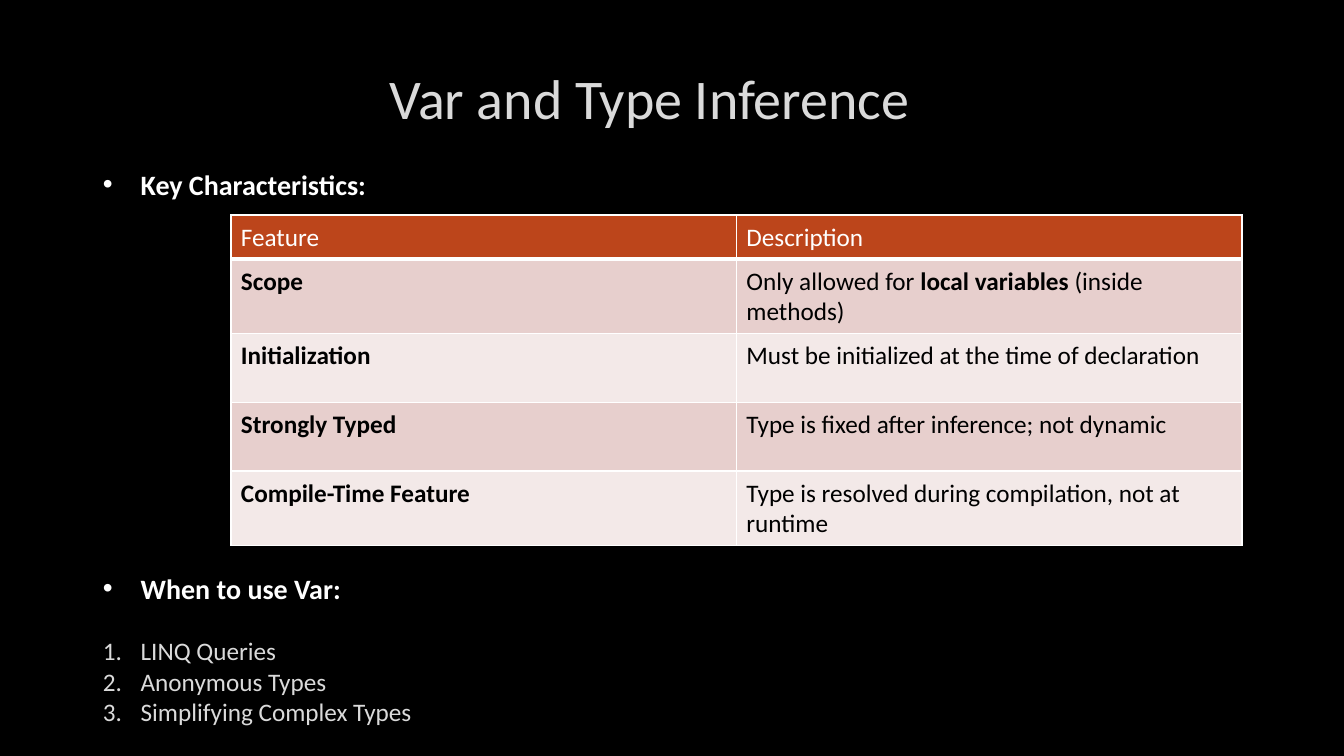
import pptx
import pptx.dml.color
import pptx.enum.text
import pptx.oxml
import pptx.oxml.ns
import pptx.util
from pptx.util import Cm

DRAWING = pptx.oxml.ns.nsdecls("a")
BULLET = f'<a:buChar {DRAWING} char="•"/>'
NUMBER = f'<a:buAutoNum {DRAWING} type="arabicPeriod"/>'

FEATURES = [
    ("Feature", "Description"),
    ("**Scope**", "Only allowed for **local variables** (inside methods)"),
    ("**Initialization**", "Must be initialized at the time of declaration"),
    ("**Strongly Typed**", "Type is fixed after inference; not dynamic"),
    ("**Compile-Time Feature**", "Type is resolved during compilation, not at runtime"),
]
USES = ["LINQ Queries", "Anonymous Types", "Simplifying Complex Types"]


def color(hex_string):
    return pptx.dml.color.RGBColor.from_string(hex_string)


class StyledSlide:
    FONT = "Calibri"
    WHITE, BLACK, GREY = "FFFFFF", "000000", "DADADA"
    HEADER, BANDS = "BC451B", ("F3E9E8", "E7CFCD")

    def __init__(self, slide):
        self.slide = slide
        slide.background.fill.solid()
        slide.background.fill.fore_color.rgb = color(self.BLACK)

    def format(self, paragraph, size, hex_color, bold=None):
        paragraph.font.name = self.FONT
        paragraph.font.size = pptx.util.Pt(size)
        paragraph.font.color.rgb = color(hex_color)
        paragraph.font.bold = bold

    def place(self, index, left, top, width, height):
        """Move a placeholder and return its text frame."""
        shape = self.slide.placeholders[index]
        shape.left, shape.top, shape.width, shape.height = left, top, width, height
        shape.text_frame.auto_size = pptx.enum.text.MSO_AUTO_SIZE.NONE
        return shape.text_frame

    def title(self, text, *box):
        frame = self.place(0, *box)
        frame.text = text
        frame.vertical_anchor = pptx.enum.text.MSO_ANCHOR.MIDDLE
        frame.paragraphs[0].alignment = pptx.enum.text.PP_ALIGN.CENTER
        self.format(frame.paragraphs[0], 40, self.GREY)

    def list(self, index, heading, items, *box):
        """Fill a body placeholder with a bulleted heading and numbered items."""
        frame = self.place(index, *box)
        frame.text = "\n".join([heading, *items])
        for position, paragraph in enumerate(frame.paragraphs):
            properties = paragraph._p.get_or_add_pPr()
            properties.set("marL", str(Cm(0.95)))
            properties.set("indent", str(-Cm(0.95)))
            properties.append(pptx.oxml.parse_xml(NUMBER if position else BULLET))
            paragraph.space_before = pptx.util.Pt(22 if position == 1 else 0)
            if position:
                self.format(paragraph, 18, self.GREY)
            else:
                self.format(paragraph, 20, self.WHITE, bold=True)

    def borders(self, cell, bottom_width):
        properties = cell._tc.get_or_add_tcPr()
        for side, width in (("L", 1), ("R", 1), ("T", 1), ("B", bottom_width)):
            properties.append(pptx.oxml.parse_xml(
                f'<a:ln{side} {DRAWING} w="{pptx.util.Pt(width)}"><a:solidFill>'
                f'<a:srgbClr val="{self.WHITE}"/></a:solidFill></a:ln{side}>'))

    def cell(self, cell, text, is_header, fill):
        """Fill a table cell; text between double asterisks is bold."""
        self.borders(cell, 3 if is_header else 1)
        cell.fill.solid()
        cell.fill.fore_color.rgb = color(fill)
        cell.margin_left, cell.margin_right = Cm(0.25), Cm(0.18)
        cell.margin_top, cell.margin_bottom = Cm(0.18), Cm(0.15)
        paragraph = cell.text_frame.paragraphs[0]
        for position, part in enumerate(text.split("**")):
            if part:
                run = paragraph.add_run()
                run.text = part
                run.font.bold = position % 2 == 1
        self.format(paragraph, 18, self.WHITE if is_header else self.BLACK)

    def table(self, rows, left, top, width, header_height, row_height):
        height = header_height + row_height * (len(rows) - 1)
        table = self.slide.shapes.add_table(
            len(rows), len(rows[0]), left, top, width, height).table
        for row_index, texts in enumerate(rows):
            is_header = row_index == 0
            table.rows[row_index].height = header_height if is_header else row_height
            fill = self.HEADER if is_header else self.BANDS[row_index % 2]
            for column_index, text in enumerate(texts):
                self.cell(table.cell(row_index, column_index), text, is_header, fill)


def main():
    presentation = pptx.Presentation()
    presentation.slide_width = pptx.util.Inches(13.33)
    presentation.slide_height = pptx.util.Inches(7.5)
    two_content = presentation.slide_layouts[3]
    page = StyledSlide(presentation.slides.add_slide(two_content))
    page.title("Var and Type Inference", Cm(2.9), Cm(1.04), Cm(26.92), Cm(2.82))
    page.list(1, "Key Characteristics:", [], Cm(2.34), Cm(4.09), Cm(26.44), Cm(1.12))
    page.table(FEATURES, Cm(5.82), Cm(5.42), Cm(25.47), Cm(1.02), Cm(1.73))
    page.list(2, "When to use Var:", USES, Cm(2.34), Cm(14.27), Cm(22.91), Cm(4.19))
    presentation.save("out.pptx")


if __name__ == "__main__":
    main()
